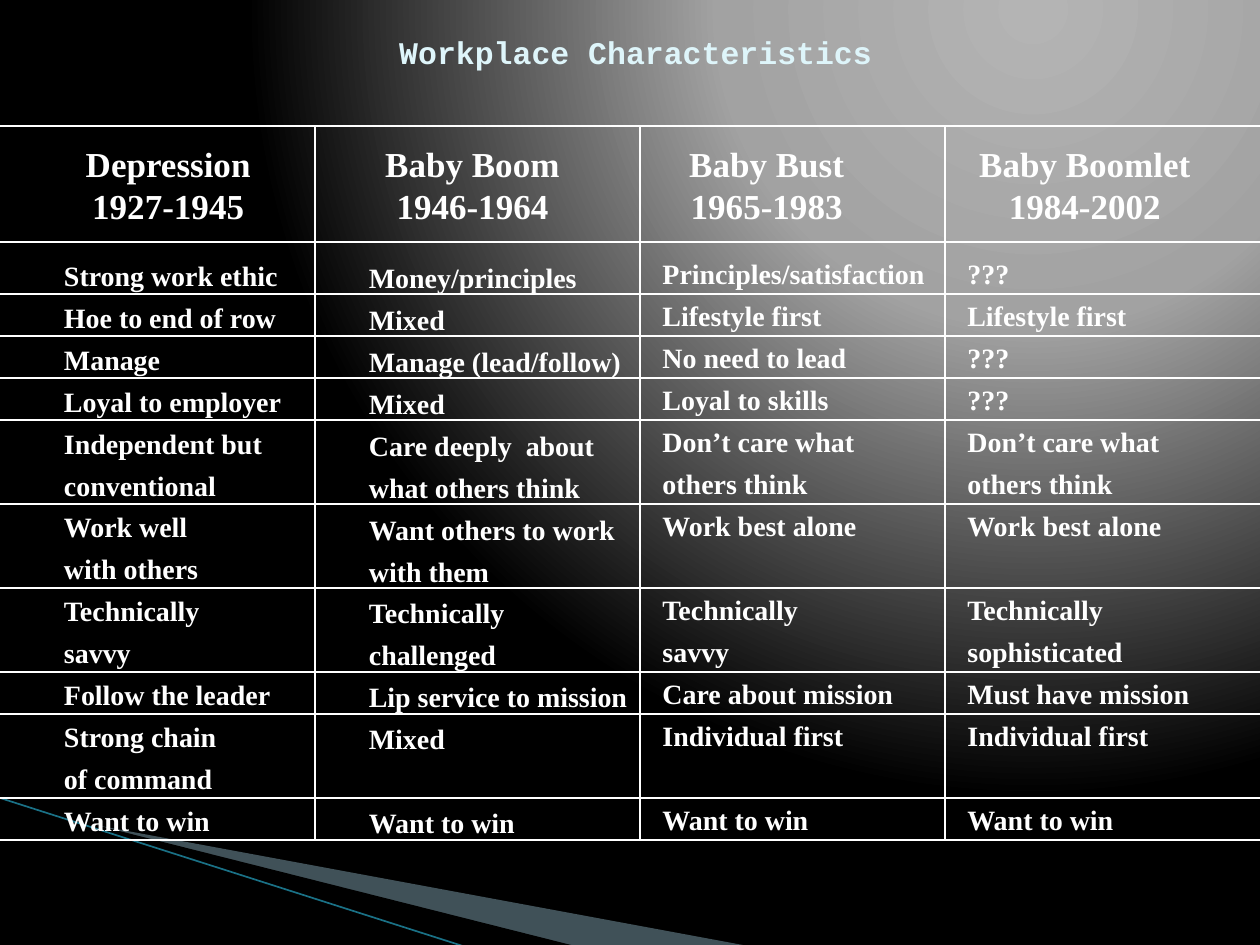
import pptx
import pptx.dml.color
import pptx.enum.shapes
import pptx.enum.text
import pptx.oxml
import pptx.oxml.ns
import pptx.util
from lxml import etree

Inches = pptx.util.Inches
Pt = pptx.util.Pt
qn = pptx.oxml.ns.qn

SERIF = "Times New Roman"
WHITE = "FFFFFF"
GRID_TOP, GRID_BOTTOM = 1, 6.67
COLUMN_RULES = (2.5, 5.08, 7.5)
RULED_LINES = (1, 2, 3, 4, 6, 8, 10, 11, 13, 14)

HEADINGS = [
    ((0.58, 1.08, 1.51, 0.77), ["Depression", "1927-1945"]),
    ((2.93, 1.08, 1.64, 0.77), ["Baby Boom", "1946-1964"]),
    ((5.37, 1.08, 1.43, 0.77), ["Baby Bust", "1965-1983"]),
    ((7.67, 1.08, 1.88, 0.77), ["Baby Boomlet", "1984-2002"]),
]
COLUMN_BOXES = [
    (0.41, 2, 1.93, 4.72),
    (2.83, 1.95, 2.26, 4.79),
    (5.16, 1.92, 2.3, 4.79),
    (7.58, 1.92, 1.97, 4.79),
]
FIRST_SPACINGS = (1, 1.25, 1.25, 1.25)
ROWS = [
    ("Strong work ethic", "Money/principles", "Principles/satisfaction", "???"),
    ("Hoe to end of row", "Mixed", "Lifestyle first", "Lifestyle first"),
    ("Manage", "Manage (lead/follow)", "No need to lead", "???"),
    ("Loyal to employer", "Mixed", "Loyal to skills", "???"),
    ("Independent but", "Care deeply  about", "Don’t care what", "Don’t care what"),
    ("conventional", "what others think", "others think", "others think"),
    ("Work well", "Want others to work", "Work best alone", "Work best alone"),
    ("with others", "with them", None, None),
    ("Technically", "Technically", "Technically", "Technically"),
    ("savvy", "challenged", "savvy", "sophisticated"),
    ("Follow the leader", "Lip service to mission", "Care about mission", "Must have mission"),
    ("Strong chain", "Mixed", "Individual first", "Individual first"),
    ("of command", None, None, None),
    ("Want to win", "Want to win", "Want to win", "Want to win"),
]


def rgb(value):
    """Return the colour for a hex string."""
    return pptx.dml.color.RGBColor.from_string(value)


def set_background(s):
    """Fill the slide with a circular gradient centred at the upper right."""
    s.background.fill.gradient()
    grad = s.element.find(".//" + qn("a:gradFill"))
    for child in list(grad):
        grad.remove(child)
    stops = etree.SubElement(grad, qn("a:gsLst"))
    for pos, color in ((0, "B4B4B4"), (40, "A2A2A2"), (100, "000000")):
        stop = etree.SubElement(stops, qn("a:gs"), pos=str(pos * 1000))
        etree.SubElement(stop, qn("a:srgbClr"), val=color)
    circle = etree.SubElement(grad, qn("a:path"), {"path": "circle"})
    etree.SubElement(circle, qn("a:fillToRect"), l="65000", t="0", r="0", b="98000")


def add_wedge(s, points, color, alpha=100):
    """Add a borderless filled outline through points in inches."""
    points = [(Inches(x), Inches(y)) for x, y in points]
    builder = s.shapes.build_freeform(*points[0])
    builder.add_line_segments(points[1:], close=True)
    sp = builder.convert_to_shape()
    sp.shadow.inherit = False
    sp.fill.solid()
    sp.fill.fore_color.rgb = rgb(color)
    sp.line.fill.background()
    if alpha < 100:
        clr = sp.element.spPr.find(".//" + qn("a:srgbClr"))
        etree.SubElement(clr, qn("a:alpha"), val=str(alpha * 1000))


def add_rule(s, x1, y1, x2, y2, color=WHITE, width=0.75):
    """Add a straight line without shadow."""
    line = s.shapes.add_connector(
        pptx.enum.shapes.MSO_CONNECTOR.STRAIGHT,
        Inches(x1), Inches(y1), Inches(x2), Inches(y2))
    line.line.color.rgb = rgb(color)
    line.line.width = Pt(width)
    etree.SubElement(line.element.spPr, qn("a:effectLst"))


def add_text(s, box, lines, size, font=SERIF, color=WHITE, centered=False,
             spacing=None, first_spacing=None):
    """Add bold lines of text, where None leaves a one-line gap."""
    tf = s.shapes.add_textbox(*map(Inches, box)).text_frame
    tf.word_wrap = False
    tf.auto_size = pptx.enum.text.MSO_AUTO_SIZE.SHAPE_TO_FIT_TEXT
    gap = False
    for i, text in enumerate(lines):
        if text is None:
            gap = True
            continue
        p = tf.add_paragraph() if i else tf.paragraphs[0]
        p.text = text
        p.font.size = Pt(size)
        p.font.name = font
        p.font.bold = True
        p.font.color.rgb = rgb(color)
        if centered:
            p.alignment = pptx.enum.text.PP_ALIGN.CENTER
        if spacing:
            p.line_spacing = spacing if i else first_spacing
        if gap:
            p.space_before = Pt(24)
        gap = False


def add_grid(s):
    """Rule the rows and columns of the comparison."""
    for y in [GRID_TOP, 1.92] + [2 + n / 3 for n in RULED_LINES]:
        add_rule(s, 0, y, 10, y)
    for x in COLUMN_RULES:
        add_rule(s, x, GRID_TOP, x, GRID_BOTTOM)


def main():
    """Build the slide and save it."""
    prs = pptx.Presentation()
    prs.slide_width, prs.slide_height = Inches(10), Inches(7.5)
    s = prs.slides.add_slide(prs.slide_layouts[6])
    set_background(s)
    add_wedge(s, [(0.55, 6.51), (5.95, 7.51), (4.56, 7.51), (0.55, 6.5)], "A0CBDC", 40)
    add_wedge(s, [(0.53, 6.49), (4.57, 7.51), (3.72, 7.52), (0.54, 6.5)], "000000")
    add_rule(s, -0.01, 6.33, 3.71, 7.52, "1A7186", 0.95)
    for box, lines, first in zip(COLUMN_BOXES, zip(*ROWS), FIRST_SPACINGS):
        add_text(s, box, lines, 16, spacing=1.25, first_spacing=first)
    add_grid(s)
    for box, lines in HEADINGS:
        add_text(s, box, lines, 20, centered=True)
    add_text(s, (3.07, 0.21, 4.02, 0.5), ["Workplace Characteristics"], 18,
             font="Courier New", color="DEF5FA")
    prs.save("out.pptx")


if __name__ == "__main__":
    main()
